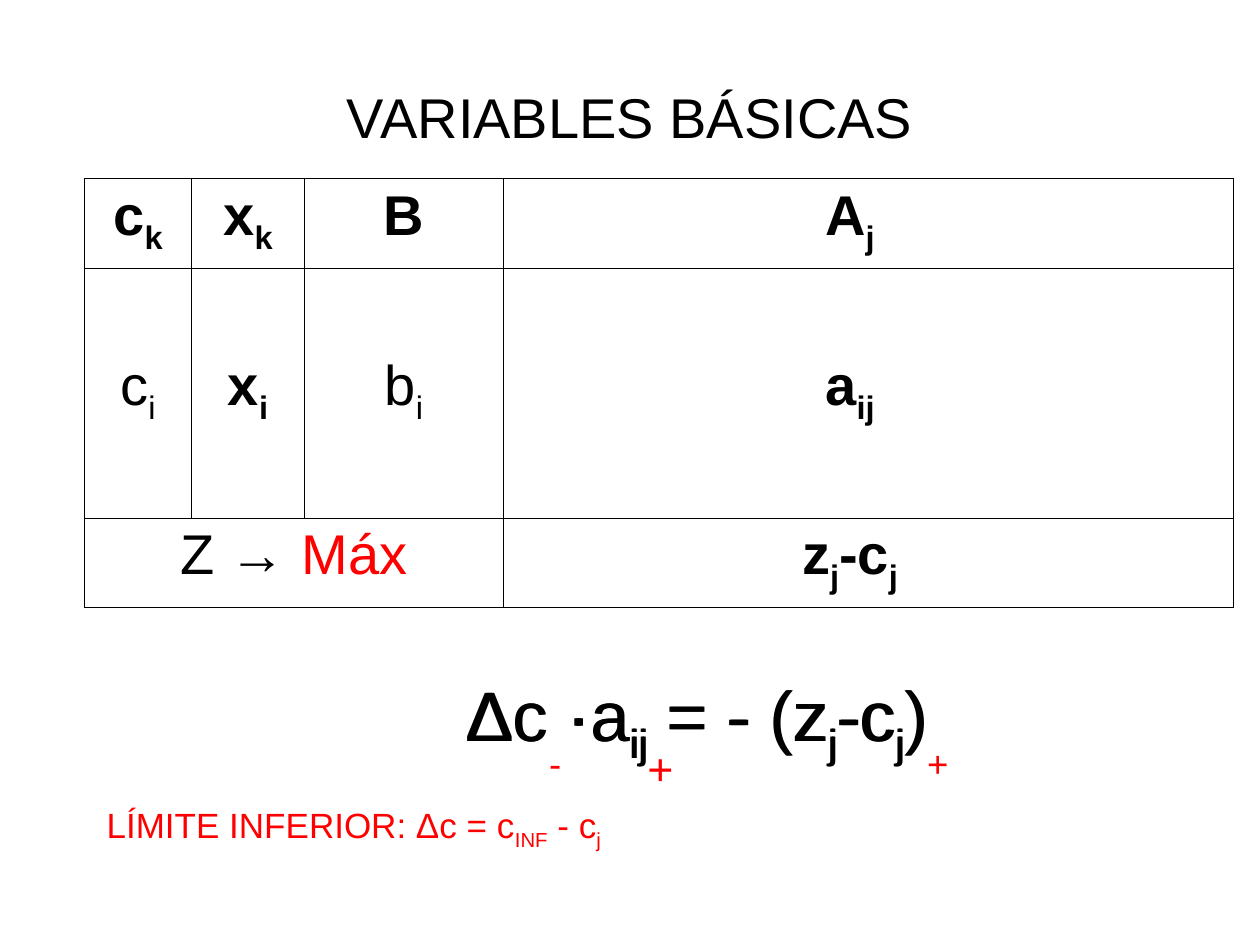
from lxml.etree import SubElement
from pptx import Presentation
from pptx.dml.color import RGBColor
from pptx.enum.text import MSO_ANCHOR, MSO_AUTO_SIZE, PP_ALIGN
from pptx.oxml.ns import qn
from pptx.util import Cm, Pt

COLORS = {"text": "000000", "accent": "FF0000", "paper": "FFFFFF"}
FONT = "Arial"

COL_WIDTHS = [2.16, 2.28, 4.01, 2.95, 2.69, 2.69, 3.1, 3.28]
ROW_HEIGHTS = [1.8, 1.62, 1.8, 1.62, 1.8]
V_LINES = {0, 1, 2, 3, 8}
H_LINES = {0, 1, 4, 5}

SYMBOLS = {
    (0, 0): (["c", "k"], True),
    (0, 1): (["x", "k"], True),
    (0, 2): (["B"], True),
    (0, 5): (["A", "j"], True),
    (2, 0): (["c", "i"], False),
    (2, 1): (["x", "i"], True),
    (2, 2): (["b", "i"], False),
    (2, 5): (["a", "ij"], True),
    (4, 5): (["z", "j", "-c", "j"], True),
}
FORMULA = ["Δc ·a", "ij", " = - (z", "j", "-c", "j", ")"]
LIMIT = ["LÍMITE INFERIOR: Δc = c", "INF", " - c", "j"]


def add_run(p, text, size, color="text", bold=False, sub=False):
    r = p.add_run()
    r.text = text
    r.font.name = FONT
    r.font.size = Pt(size)
    r.font.bold = bold
    r.font.color.rgb = RGBColor.from_string(COLORS[color])
    if sub:
        r.font._element.set("baseline", "-25000")


def add_math(p, parts, size, color="text", bold=False):
    for i, part in enumerate(parts):
        add_run(p, part, size, color, bold, sub=i % 2 == 1)


def add_title(s, text):
    sp = s.shapes.title
    sp.left, sp.top, sp.width, sp.height = Cm(1.27), Cm(0.76), Cm(22.86), Cm(3.18)
    tf = sp.text_frame
    tf.vertical_anchor = MSO_ANCHOR.MIDDLE
    p = tf.paragraphs[0]
    p.alignment = PP_ALIGN.CENTER
    add_run(p, text, 32)


def add_text(s, left, top, width, height, wrap=False):
    sp = s.shapes.add_textbox(Cm(left), Cm(top), Cm(width), Cm(height))
    tf = sp.text_frame
    tf.word_wrap = wrap
    tf.auto_size = MSO_AUTO_SIZE.SHAPE_TO_FIT_TEXT
    return tf.paragraphs[0]


def set_borders(cell, row, col):
    tcPr = cell._tc.get_or_add_tcPr()
    sides = {
        "a:lnL": col in V_LINES,
        "a:lnR": col + 1 in V_LINES,
        "a:lnT": row in H_LINES,
        "a:lnB": row + 1 in H_LINES,
    }
    for tag, visible in sides.items():
        ln = SubElement(tcPr, qn(tag), w=str(Pt(0.45)))
        if visible:
            fill = SubElement(ln, qn("a:solidFill"))
            SubElement(fill, qn("a:srgbClr"), val=COLORS["text"])
        else:
            SubElement(ln, qn("a:noFill"))


def add_simplex_table(s):
    frame = s.shapes.add_table(
        len(ROW_HEIGHTS), len(COL_WIDTHS), Cm(1.7), Cm(3.6),
        Cm(sum(COL_WIDTHS)), Cm(sum(ROW_HEIGHTS)))
    table = frame.table
    table.first_row = table.horz_banding = False
    for column, width in zip(table.columns, COL_WIDTHS):
        column.width = Cm(width)
    for row, height in zip(table.rows, ROW_HEIGHTS):
        row.height = Cm(height)

    table.cell(4, 0).merge(table.cell(4, 2))
    for i in range(len(ROW_HEIGHTS)):
        for j in range(len(COL_WIDTHS)):
            cell = table.cell(i, j)
            if cell.is_spanned:
                continue
            set_borders(cell, i, j)
            cell.fill.solid()
            cell.fill.fore_color.rgb = RGBColor.from_string(COLORS["paper"])

    for (i, j), (parts, bold) in SYMBOLS.items():
        p = table.cell(i, j).text_frame.paragraphs[0]
        p.alignment = PP_ALIGN.CENTER
        add_math(p, parts, 32, bold=bold)

    p = table.cell(4, 0).text_frame.paragraphs[0]
    p.alignment = PP_ALIGN.CENTER
    add_run(p, "Z → ", 32)
    add_run(p, "Máx", 32, "accent")


def add_sign(s, text, size, left, top, width, height):
    p = add_text(s, left, top, width, height)
    add_run(p, text, size, "accent", sub=True)


def main():
    prs = Presentation()
    prs.slide_width, prs.slide_height = Cm(25.4), Cm(19.05)
    s = prs.slides.add_slide(prs.slide_layouts[5])

    add_title(s, "VARIABLES BÁSICAS")
    add_simplex_table(s)
    for left, width in [(9.17, 10.34), (9.14, 10.11)]:
        add_math(add_text(s, left, 13.41, width, 2.18), FORMULA, 40)
    add_math(add_text(s, 1.9, 16.08, 11.23, 1.22, wrap=True), LIMIT, 20, "accent")
    add_sign(s, "-", 36, 10.82, 13.97, 0.76, 2.01)
    add_sign(s, "+", 44, 12.8, 13.77, 1.04, 2.39)
    add_sign(s, "+", 36, 18.44, 13.97, 0.94, 2.01)

    prs.save("out.pptx")


if __name__ == "__main__":
    main()
